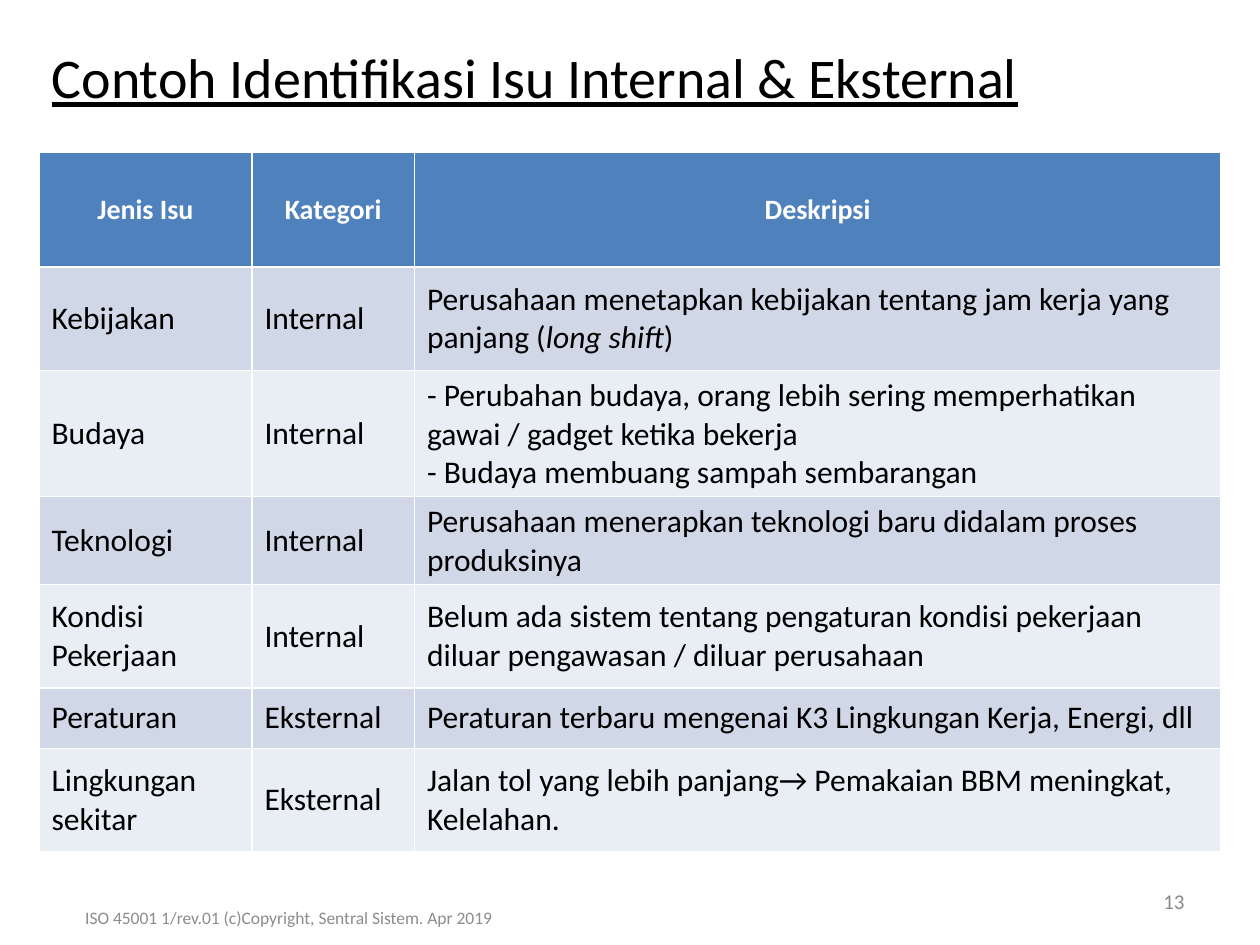
from typing import NamedTuple

from pptx import Presentation
from pptx.dml.color import RGBColor
from pptx.enum.text import MSO_ANCHOR, MSO_AUTO_SIZE, PP_ALIGN
from pptx.util import Inches, Pt

LEFT, CENTER, RIGHT = PP_ALIGN.LEFT, PP_ALIGN.CENTER, PP_ALIGN.RIGHT
TOP, MIDDLE = MSO_ANCHOR.TOP, MSO_ANCHOR.MIDDLE
GROW = MSO_AUTO_SIZE.SHAPE_TO_FIT_TEXT

HEADER_FILL = "4F81BD"
BAND_FILLS = ("D0D8E8", "E9EDF4")
HEADER_FONT = {"name": "Calibri", "size": Pt(16), "bold": True}
BODY_FONT = {"name": "Calibri", "size": Pt(18), "bold": False}
COL_WIDTHS = (1.69, 1.29, 6.4)


class Issue(NamedTuple):
    kind: str
    category: str
    description: str
    height: float


class Note(NamedTuple):
    text: str
    box: tuple[float, float, float, float]
    size: int
    color: str
    align: PP_ALIGN


HEADER = Issue("Jenis Isu", "Kategori", "Deskripsi", 0.91)
ISSUES = [
    Issue("Kebijakan", "Internal",
          "Perusahaan menetapkan kebijakan tentang jam kerja yang panjang (*long shift*)", 0.82),
    Issue("Budaya", "Internal",
          "- Perubahan budaya, orang lebih sering memperhatikan gawai / gadget ketika bekerja\n"
          "- Budaya membuang sampah sembarangan", 0.82),
    Issue("Teknologi", "Internal",
          "Perusahaan menerapkan teknologi baru didalam proses produksinya", 0.53),
    Issue("Kondisi Pekerjaan", "Internal",
          "Belum ada sistem tentang pengaturan kondisi pekerjaan diluar pengawasan / diluar perusahaan",
          0.82),
    Issue("Peraturan", "Eksternal",
          "Peraturan terbaru mengenai K3 Lingkungan Kerja, Energi, dll", 0.48),
    Issue("Lingkungan sekitar", "Eksternal",
          "Jalan tol yang lebih panjang→ Pemakaian BBM meningkat, Kelelahan.", 0.82),
]
NOTES = [
    Note("13", (7.17, 6.95, 2.33, 0.4), 12, "898989", RIGHT),
    Note("ISO 45001 1/rev.01 (c)Copyright, Sentral Sistem. Apr 2019",
         (-0.19, 7.08, 4.96, 0.4), 10, "8C8C8C", CENTER),
]


def rgb(color: str) -> RGBColor:
    return RGBColor.from_string(color)


def write(tf, text: str, font: dict, color: str, align: PP_ALIGN) -> None:
    """Write one paragraph per line; text between asterisks is italic."""
    for i, line in enumerate(text.split("\n")):
        p = tf.add_paragraph() if i else tf.paragraphs[0]
        p.alignment = align
        for j, part in enumerate(line.split("*")):
            r = p.add_run()
            r.text = part
            for name, value in font.items():
                setattr(r.font, name, value)
            r.font.color.rgb = rgb(color)
            if j % 2:
                r.font.italic = True


def add_title(s, text: str) -> None:
    sp = s.shapes.title
    sp.left, sp.top, sp.width, sp.height = map(Inches, (0.31, 0.29, 8.13, 0.64))
    tf = sp.text_frame
    tf.word_wrap, tf.auto_size, tf.vertical_anchor = True, GROW, TOP
    write(tf, text, {"name": "Calibri", "size": Pt(32), "underline": True}, "000000", LEFT)


def add_issue_table(s) -> None:
    rows = [HEADER, *ISSUES]
    height = sum(row.height for row in rows)
    table = s.shapes.add_table(len(rows), len(COL_WIDTHS), Inches(0.31), Inches(1.21),
                               Inches(sum(COL_WIDTHS)), Inches(height)).table
    for column, width in zip(table.columns, COL_WIDTHS):
        column.width = Inches(width)
    for i, row in enumerate(rows):
        table.rows[i].height = Inches(row.height)
        if i == 0:
            fill, style = HEADER_FILL, (HEADER_FONT, "FFFFFF", CENTER)
        else:
            fill, style = BAND_FILLS[(i - 1) % 2], (BODY_FONT, "000000", LEFT)
        for cell, text in zip(table.rows[i].cells, (row.kind, row.category, row.description)):
            cell.fill.solid()
            cell.fill.fore_color.rgb = rgb(fill)
            cell.vertical_anchor = MIDDLE
            write(cell.text_frame, text, *style)


def add_note(s, note: Note) -> None:
    tf = s.shapes.add_textbox(*map(Inches, note.box)).text_frame
    tf.word_wrap, tf.vertical_anchor = True, MIDDLE
    write(tf, note.text, {"name": "Calibri", "size": Pt(note.size)}, note.color, note.align)


def main() -> None:
    prs = Presentation()
    prs.slide_width, prs.slide_height = Inches(10), Inches(7.5)
    s = prs.slides.add_slide(prs.slide_layouts.get_by_name("Title Only"))
    add_title(s, "Contoh Identifikasi Isu Internal & Eksternal")
    add_issue_table(s)
    for note in NOTES:
        add_note(s, note)
    prs.save("out.pptx")


if __name__ == "__main__":
    main()
